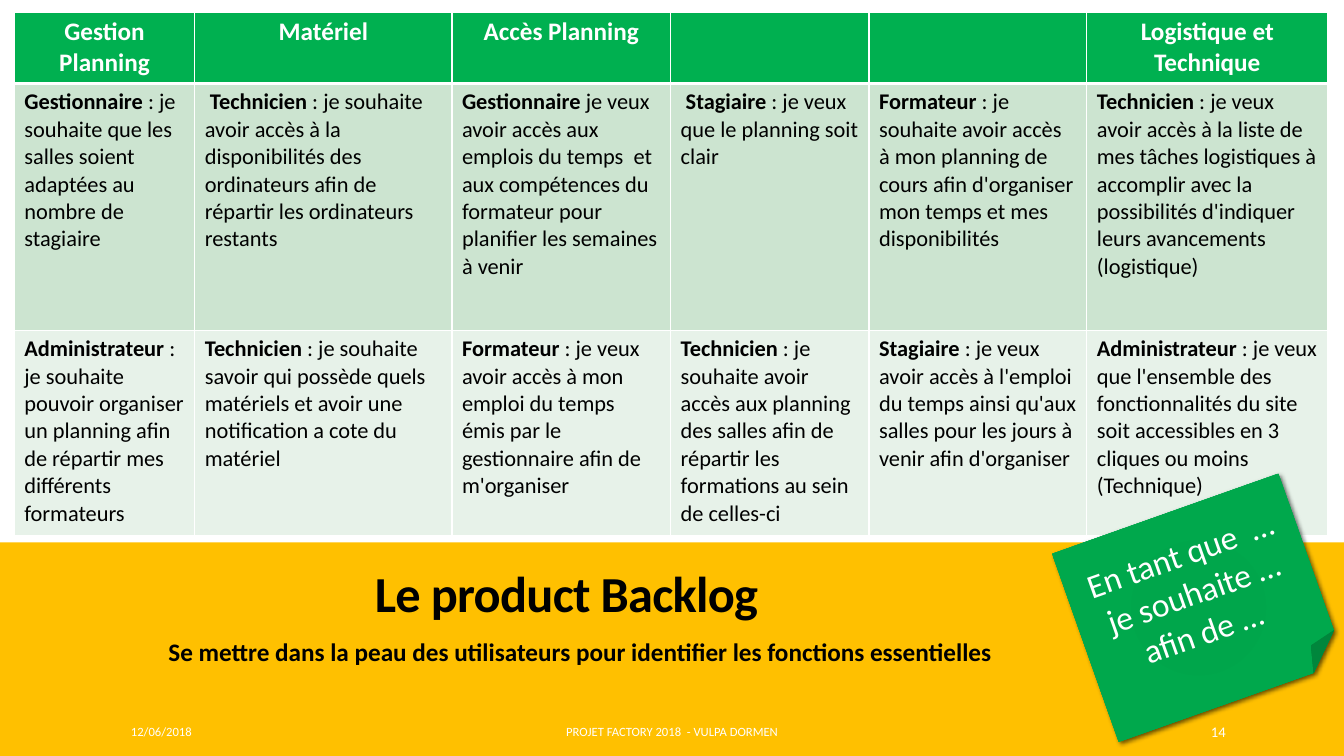
from pptx import Presentation, util as u
from pptx.dml.color import RGBColor
from pptx.enum import shapes, text
from pptx.oxml import parse_xml
from pptx.oxml.ns import nsdecls, qn

HUE = {"white": "FFFFFF", "black": "000000", "gold": "FFC000", "head": "00B050",
       "mid": "CCE4D0", "pale": "E7F2E9"}
FONT = "Calibri"
LEFT, MID, RIGHT = text.PP_ALIGN.LEFT, text.PP_ALIGN.CENTER, text.PP_ALIGN.RIGHT
TOP, CENTRE, LOW = (text.MSO_ANCHOR.TOP, text.MSO_ANCHOR.MIDDLE,
                    text.MSO_ANCHOR.BOTTOM)

COLS = [4.55, 6.48, 5.51, 5, 5.49, 6.07]
ROWS = [1.73, 6.22, 5.16]
HEADS = ["Gestion Planning", "Matériel", "Accès Planning", "", "",
         "Logistique et Technique"]
STORIES = [
    [("Gestionnaire", " : je souhaite que les salles soient adaptées au nombre de stagiaire"),
     (" Technicien", " : je souhaite avoir accès à la disponibilités des ordinateurs "
      "afin de répartir les ordinateurs restants"),
     ("Gestionnaire", " je veux avoir accès aux emplois du temps  et aux compétences "
      "du formateur pour planifier les semaines à venir"),
     (" Stagiaire", " : je veux que le planning soit clair"),
     ("Formateur", " : je souhaite avoir accès à mon planning de cours afin "
      "d'organiser mon temps et mes disponibilités"),
     ("Technicien", " : je veux avoir accès à la liste de mes tâches logistiques à accomplir "
      "avec la possibilités d'indiquer leurs avancements (logistique)")],
    [("Administrateur", " : je souhaite pouvoir organiser un planning afin de "
      "répartir mes différents formateurs"),
     ("Technicien", " : je souhaite savoir qui possède quels matériels et avoir une "
      "notification a cote du matériel"),
     ("Formateur", " : je veux avoir accès à mon emploi du temps émis par le "
      "gestionnaire afin de m'organiser"),
     ("Technicien", " : je souhaite avoir accès aux planning des salles afin de "
      "répartir les formations au sein de celles-ci"),
     ("Stagiaire", " : je veux avoir accès à l'emploi du temps ainsi qu'aux salles "
      "pour les jours à venir afin d'organiser"),
     ("Administrateur", " : je veux que l'ensemble des fonctionnalités du site soit "
      "accessibles en 3 cliques ou moins", "(Technique)")],
]
STOPS = [(0, "00A44B"), (34, "00A64B"), (70, "00A84C"), (100, "00B050")]


class Page:
    def __init__(self, deck):
        self.slide = deck.slides.add_slide(deck.slide_layouts[5])
        self.shapes = self.slide.shapes

    def box(self, *dims):
        return [u.Cm(d) for d in dims]

    def run(self, para, words, size, hue, bold=False):
        run = para.add_run()
        run.text = words
        font = run.font
        font.name, font.size, font.bold = FONT, u.Pt(size), bold
        font.color.rgb = RGBColor.from_string(HUE[hue])
        return run

    def frame(self, frame, anchor, align, pad=None):
        """Set up a text frame and return its first paragraph."""
        frame.word_wrap = True
        frame.auto_size = text.MSO_AUTO_SIZE.NONE
        frame.vertical_anchor = anchor
        if pad is not None:
            frame.margin_top = frame.margin_bottom = u.Cm(pad)
        para = frame.paragraphs[0]
        para.alignment = align
        return para

    def band(self, top, high):
        band = self.shapes.add_shape(shapes.MSO_SHAPE.RECTANGLE,
                                     *self.box(0, top, 33.87, high))
        band.shadow.inherit = False
        band.fill.solid()
        band.fill.fore_color.rgb = RGBColor.from_string(HUE["gold"])
        band.line.fill.background()

    def title(self, words, dims):
        title = self.shapes.title
        title.left, title.top, title.width, title.height = self.box(*dims)
        title.element.getparent().append(title.element)  # in front of the bands
        para = self.frame(title.text_frame, LOW, MID, 0)
        para.line_spacing = 0.85
        run = self.run(para, words, 36, "black", True)
        run.font._element.set("spc", "-50")

    def label(self, words, dims, size, align, hue="white", bold=False,
              anchor=CENTRE, pad=None):
        area = self.shapes.add_textbox(*self.box(*dims))
        para = self.frame(area.text_frame, anchor, align, pad)
        self.run(para, words, size, hue, bold)
        return para

    def note(self, words, dims, turn):
        """Add the tilted sticky note with its gradient and shadow."""
        note = self.shapes.add_shape(shapes.MSO_SHAPE.FOLDED_CORNER, *self.box(*dims))
        note.rotation = turn
        note.line.fill.background()
        note.shadow.inherit = False
        props = note.element.spPr
        stops = "".join(f'<a:gs pos="{at * 1000}"><a:srgbClr val="{hue}"/></a:gs>'
                        for at, hue in STOPS)
        props.find(qn("a:prstGeom")).addnext(parse_xml(
            f'<a:gradFill {nsdecls("a")} rotWithShape="1"><a:gsLst>{stops}</a:gsLst>'
            '<a:path path="circle"><a:fillToRect l="100000" t="100000" r="100000" '
            'b="100000"/></a:path></a:gradFill>'))
        props.find(qn("a:effectLst")).append(parse_xml(
            f'<a:outerShdw {nsdecls("a")} blurRad="{u.Pt(3.5)}" dist="{u.Pt(2)}" '
            f'dir="2700000" rotWithShape="0"><a:srgbClr val="{HUE["black"]}">'
            '<a:alpha val="60000"/></a:srgbClr></a:outerShdw>'))
        self.run(self.frame(note.text_frame, CENTRE, MID), words, 24, "white")

    def cell(self, cell, hue, top=1, low=1):
        """Give a cell white borders and a fill; top and low are in points."""
        props = cell._tc.get_or_add_tcPr()
        for side, wide in zip("LRTB", (1, 1, top, low)):
            props.append(parse_xml(
                f'<a:ln{side} {nsdecls("a")} w="{u.Pt(wide)}"><a:solidFill>'
                f'<a:srgbClr val="{HUE["white"]}"/></a:solidFill></a:ln{side}>'))
        cell.fill.solid()
        cell.fill.fore_color.rgb = RGBColor.from_string(HUE[hue])

    def table(self, left, top):
        table = self.shapes.add_table(
            len(ROWS), len(COLS), *self.box(left, top, sum(COLS), sum(ROWS))).table
        for col, wide in zip(table.columns, COLS):
            col.width = u.Cm(wide)
        for row, high in zip(table.rows, ROWS):
            row.height = u.Cm(high)
        for x, head in enumerate(HEADS):
            cell = table.cell(0, x)
            self.cell(cell, "head", low=3)
            if head:
                para = cell.text_frame.paragraphs[0]
                para.alignment = MID
                self.run(para, head, 18, "white", True)
        for y, (row, hue) in enumerate(zip(STORIES, ("mid", "pale")), 1):
            for x, (role, wish, *more) in enumerate(row):
                cell = table.cell(y, x)
                self.cell(cell, hue, top=3 if y == 1 else 1)
                para = cell.text_frame.paragraphs[0]
                self.run(para, role, 16, "black", True)
                self.run(para, wish, 16, "black")
                for line in more:
                    self.run(cell.text_frame.add_paragraph(), line, 16, "black")


def main():
    deck = Presentation()
    deck.slide_width, deck.slide_height = u.Cm(33.87), u.Cm(19.05)
    page = Page(deck)
    page.band(13.77, 5.28)
    page.band(13.67, 0.18)
    page.table(0.36, 0.3)
    page.title("Le product Backlog", (0.23, 13.41, 28.09, 2.29))
    para = page.label("Se mettre dans la peau des utilisateurs pour identifier "
                      "les fonctions essentielles", (0.58, 16.13, 28.09, 1.65),
                      18, MID, "black", True, TOP, 0)
    para.line_spacing, para.space_after = 0.9, u.Pt(6)
    page.note("En tant que  … je souhaite … afin de … ", (27.18, 12.8, 6.05, 5.03), 340.5)
    for words, left, wide, size, align in (
            ("12/06/2018", 3.05, 6.86, 9, LEFT),
            ("PROJET FACTORY 2018  - VULPA DORMEN", 10.24, 13.39, 9, MID),
            ("14", 27.51, 3.63, 10.5, RIGHT)):
        page.label(words, (left, 17.93, wide, 1.02), size, align)
    deck.save("out.pptx")


if __name__ == "__main__":
    main()
